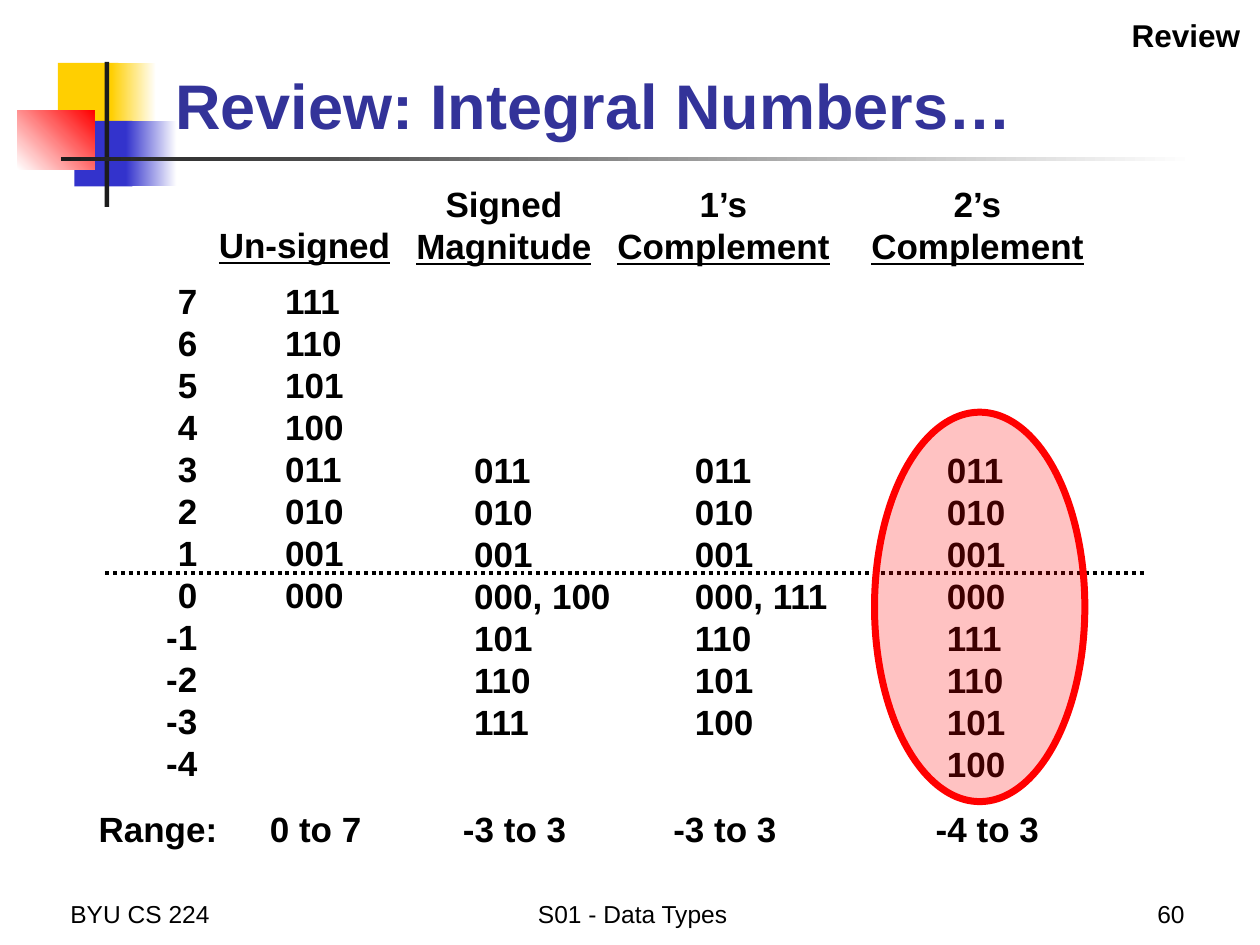
import lxml.etree
import pptx
import pptx.dml.color
import pptx.enum.dml
import pptx.enum.shapes
import pptx.enum.text
import pptx.oxml.ns
import pptx.util
from pptx.util import Cm

COLORS = {
    "yellow": "FFCF01",
    "blue": "3333CC",
    "red": "FF0000",
    "white": "FFFFFF",
    "charcoal": "1C1C1C",
    "title": "333399",
    "text": "000000",
}
RGB = {name: pptx.dml.color.RGBColor.from_string(value) for name, value in COLORS.items()}
SHAPE = pptx.enum.shapes.MSO_SHAPE
ANCHOR = pptx.enum.text.MSO_ANCHOR
LEFT = pptx.enum.text.PP_ALIGN.LEFT
CENTER = pptx.enum.text.PP_ALIGN.CENTER
RIGHT = pptx.enum.text.PP_ALIGN.RIGHT

presentation = pptx.Presentation()
presentation.slide_width = Cm(25.4)
presentation.slide_height = Cm(19.05)
slide = presentation.slides.add_slide(presentation.slide_layouts[6])


def add_text(box, paragraphs, alignment=LEFT, size=20, bold=True, color="text",
             anchor=ANCHOR.TOP):
    """Write paragraphs, each a list of (text, underlined) runs, into a box given in cm."""
    frame = slide.shapes.add_textbox(*[Cm(length) for length in box]).text_frame
    frame.word_wrap = True
    frame.vertical_anchor = anchor
    font_format = {"name": "Arial", "size": pptx.util.Pt(size), "bold": bold}
    for index, runs in enumerate(paragraphs):
        paragraph = frame.paragraphs[0] if index == 0 else frame.add_paragraph()
        paragraph.alignment = alignment
        paragraph.line_spacing = pptx.util.Pt(1.2 * size)
        for text, underlined in runs:
            run = paragraph.add_run()
            run.text = text
            for attribute, value in font_format.items():
                setattr(run.font, attribute, value)
            run.font.underline = underlined
            run.font.color.rgb = RGB[color]


# Corner ornament and title rule: box, gradient start, gradient end, angle
ornament = [
    ((1.17, 1.27, 1.22, 1.32), "yellow", None, 0),
    ((2.24, 1.27, 0.91, 1.32), "yellow", "white", 0),
    ((1.5, 2.44, 1.17, 1.32), "blue", None, 0),
    ((2.54, 2.44, 1.02, 1.32), "blue", "white", 0),
    ((0.35, 2.23, 1.56, 1.18), "white", "red", 45),
    ((2.11, 1.25, 0.09, 2.92), "charcoal", None, 0),
    ((1.23, 3.16, 22.86, 0.08), "charcoal", "white", 0),
]
for box, start, end, angle in ornament:
    shape = slide.shapes.add_shape(SHAPE.RECTANGLE, *[Cm(length) for length in box])
    shape.shadow.inherit = False
    shape.line.fill.background()
    if end is None:
        shape.fill.solid()
        shape.fill.fore_color.rgb = RGB[start]
    else:
        shape.fill.gradient()
        shape.fill.gradient_angle = angle
        for stop, color in zip(shape.fill.gradient_stops, (start, end)):
            stop.color.rgb = RGB[color]

# Footer and title
footer = [
    (1.17, 5.28, "BYU CS 224", LEFT),
    (7.42, 10.67, "S01 - Data Types", CENTER),
    (18.85, 5.28, "60", RIGHT),
]
for left, width, text, alignment in footer:
    add_text((left, 17.58, width, 1.27), [[(text, False)]], alignment,
             size=14, bold=False, anchor=ANCHOR.BOTTOM)
add_text((3.28, 0.66, 21.64, 2.34), [[("Review: Integral Numbers…", False)]],
         size=36, color="title", anchor=ANCHOR.BOTTOM)

# Number columns: left, width, first row, values, alignment
ROWS_TOP = 5.51
ROW_HEIGHT = 0.85
columns = [
    (2.33, 1.9, 0, [str(number) for number in range(7, -5, -1)], RIGHT),
    (5.5, 1.9, 0, [f"{number:03b}" for number in range(7, -1, -1)], LEFT),
    (9.31, 3.39, 4, ["011", "010", "001", "000, 100", "101", "110", "111"], LEFT),
    (13.76, 3.39, 4, ["011", "010", "001", "000, 111", "110", "101", "100"], LEFT),
    (18.84, 1.9, 4, [f"{number % 8:03b}" for number in range(3, -5, -1)], LEFT),
]
for left, width, first_row, values, alignment in columns:
    box = (left, ROWS_TOP + first_row * ROW_HEIGHT, width, len(values) * ROW_HEIGHT + 0.25)
    add_text(box, [[(value, False)] for value in values], alignment)

# Dotted line between 1 and 0
zero_line = slide.shapes.add_connector(
    pptx.enum.shapes.MSO_CONNECTOR.STRAIGHT, Cm(2.12), Cm(11.56), Cm(23.07), Cm(11.56))
zero_line.line.color.rgb = RGB["text"]
zero_line.line.width = pptx.util.Pt(2.25)
zero_line.line.dash_style = pptx.enum.dml.MSO_LINE.ROUND_DOT
lxml.etree.SubElement(zero_line._element.spPr, pptx.oxml.ns.qn("a:effectLst"))

# Column headings
headings = [
    (4.02, 4.39, 4.24, "", "Un-signed"),
    (8.04, 3.56, 4.24, "Signed ", "Magnitude"),
    (12.12, 3.56, 4.93, "1’s ", "Complement"),
    (17.09, 3.56, 5.23, "2’s ", "Complement"),
]
for left, top, width, first_word, underlined_word in headings:
    runs = [(first_word, False)] if first_word else []
    height = 1.95 if first_word else 1.1
    add_text((left, top, width, height), [runs + [(underlined_word, True)]], CENTER)

# Range row
ranges = [(1.7, "Range:"), (4.88, "0 to 7"), (8.89, "-3 to 3"),
          (13.13, "-3 to 3"), (18.42, "-4 to 3")]
for left, text in ranges:
    add_text((left, 16.15, 2.97, 1.1), [[(text, False)]], CENTER)

add_text((17.96, 0.2, 7.29, 1.02), [[("Review", False)]], RIGHT, size=18)

# Translucent highlight on the 2's complement column
highlight = slide.shapes.add_shape(SHAPE.OVAL, Cm(17.63), Cm(8.31), Cm(4.24), Cm(7.85))
highlight.shadow.inherit = False
highlight.fill.solid()
highlight.fill.fore_color.rgb = RGB["red"]
highlight.line.color.rgb = RGB["red"]
highlight.line.width = pptx.util.Pt(4)
fill_color = highlight._element.spPr.find(pptx.oxml.ns.qn("a:solidFill"))[0]
lxml.etree.SubElement(fill_color, pptx.oxml.ns.qn("a:alpha"), val="24000")

presentation.save("out.pptx")
